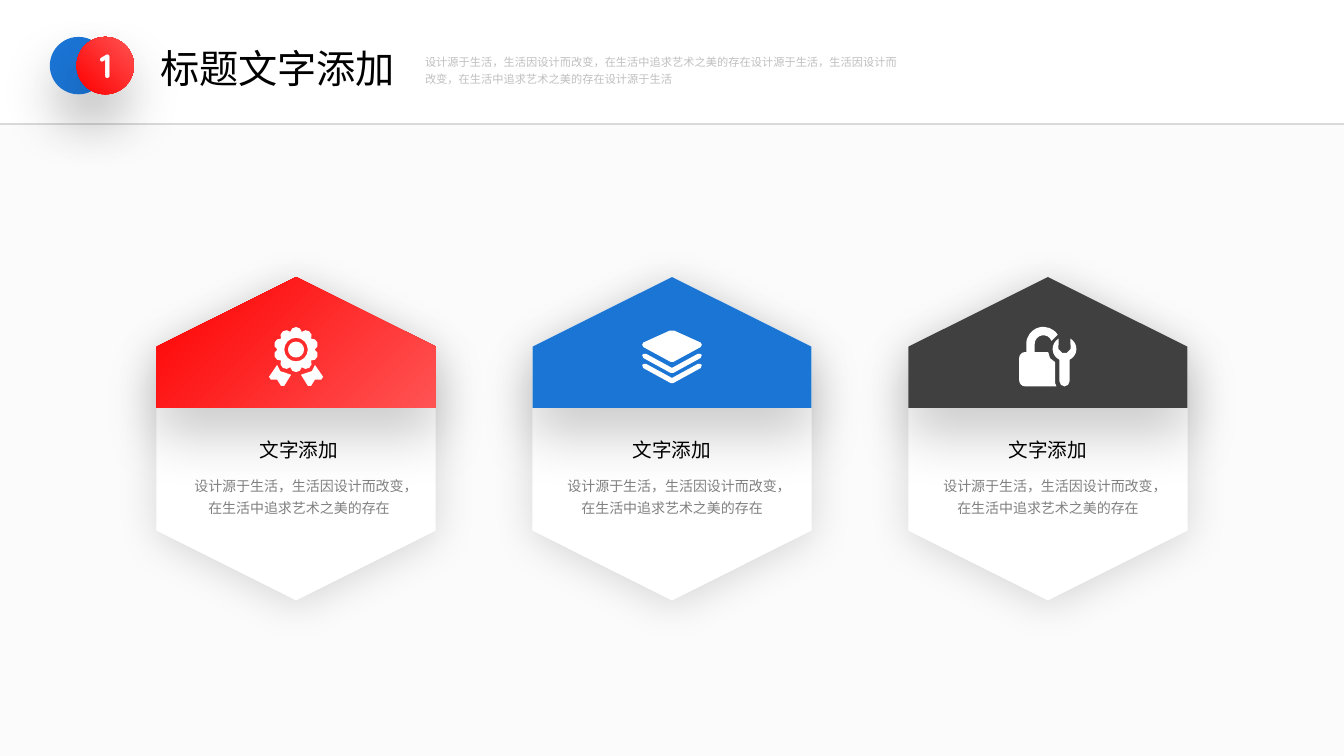
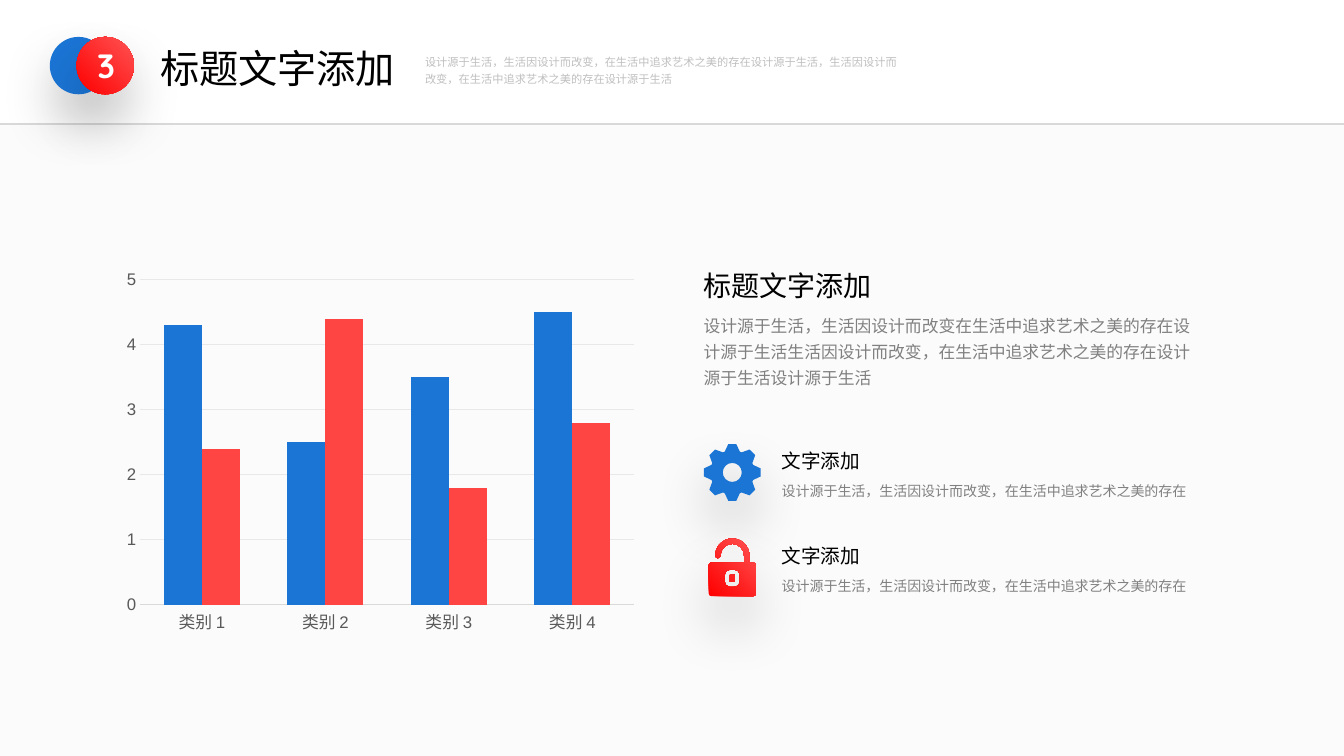
import math
from lxml import etree
from pptx import Presentation, util as u
from pptx.chart.data import CategoryChartData
from pptx.dml.color import RGBColor
from pptx.enum import chart as charts, shapes, text
from pptx.oxml import ns

COLORS = {
    "band": "FBFBFB", "rule": "D9D9D9", "white": "FFFFFF", "black": "000000",
    "blue": "1B75D5", "dark": "404040", "red": "FE0000", "light red": "FF5353",
    "bar red": "FF4444", "gray": "808080", "pale": "BFBFBF", "axis": "595959",
    "grid": "E8E8E8",
}
RGB = {name: RGBColor.from_string(value) for name, value in COLORS.items()}
HEAD_FONT, BODY_FONT = "Noto Sans CJK SC", "Quicksand"
# Shadows: opacity in percent, blur and distance in points
SOFT, DEEP = (15, 30, 3), (20, 40, 20)
SENTENCE = "设计源于生活，生活因设计而改变，在生活中追求艺术之美的存在"
HEADING, LABEL = "标题文字添加", "文字添加"


def add_text(slide, words, left, top, width, height, size=10, font=BODY_FONT,
             color="gray", align="LEFT", spacing=None, wrap=True, bold=False):
    box = slide.shapes.add_textbox(u.Pt(left), u.Pt(top), u.Pt(width), u.Pt(height))
    frame = box.text_frame
    frame.word_wrap = wrap
    frame.auto_size = text.MSO_AUTO_SIZE.SHAPE_TO_FIT_TEXT
    paragraph = frame.paragraphs[0]
    paragraph.alignment = text.PP_ALIGN[align]
    paragraph.line_spacing = spacing
    run = paragraph.add_run()
    run.text = words
    run.font.size, run.font.name, run.font.bold = u.Pt(size), font, bold
    run.font.color.rgb = RGB[color]
    east_asian = etree.SubElement(run.font._element, ns.qn("a:ea"))
    east_asian.set("typeface", font)


def add_figure(slide, fill, preset=None, box=None, contours=(), origin=(0, 0),
               shadow=None, rotation=0, angle=45):
    """Draw a preset in a box, or contours made of points (x, y) and
    arcs (x, y, radius, start, end) around an origin."""
    if preset:
        shape = slide.shapes.add_shape(preset, *[u.Pt(length) for length in box])
        shape.rotation = rotation
    else:
        builder, curve_starts, count = None, [], 0
        for contour in contours:
            points = []
            for x, y, *arc in contour:
                radius, start, end = arc or (0, 0, 0)
                turn = math.radians(start)
                first = (x + radius * math.cos(turn), y + radius * math.sin(turn))
                if not points or math.dist(points[-1], first) > 0.3:
                    points.append(first)
                # Each arc becomes Bezier curves of at most a quarter turn
                steps = math.ceil(abs(end - start) / 90)
                for step in range(steps):
                    sweep = math.radians((end - start) / steps)
                    handle = 4 / 3 * math.tan(sweep / 4)
                    after = turn + sweep
                    curve_starts.append(count + len(points) - 1)
                    for at, pull in ((turn, handle), (after, -handle), (after, 0)):
                        points.append((x + radius * (math.cos(at) - pull * math.sin(at)),
                                       y + radius * (math.sin(at) + pull * math.cos(at))))
                    turn = after
            count += len(points) - 1
            points = [(u.Pt(origin[0] + x), u.Pt(origin[1] + y)) for x, y in points]
            if builder is None:
                builder = slide.shapes.build_freeform(*points[0], scale=1.0)
            else:
                builder.move_to(*points[0])
            builder.add_line_segments(points[1:], close=True)
        shape = builder.convert_to_shape()
        segments = list(shape._element.iter(ns.qn("a:lnTo")))
        for index in curve_starts:
            curve = etree.Element(ns.qn("a:cubicBezTo"))
            segments[index].addprevious(curve)
            for segment in segments[index:index + 3]:
                curve.append(segment[0])
                segment.getparent().remove(segment)
    if fill == "gradient":
        shape.fill.gradient()
        shape.fill.gradient_angle = angle
        for stop, name in zip(shape.fill.gradient_stops, ("red", "light red")):
            stop.color.rgb = RGB[name]
    else:
        shape.fill.solid()
        shape.fill.fore_color.rgb = RGB[fill]
    shape.line.fill.background()
    shape.shadow.inherit = False
    if shadow:
        opacity, blur, distance = shadow
        effects = shape._element.spPr.find(ns.qn("a:effectLst"))
        outer = etree.SubElement(effects, ns.qn("a:outerShdw"), {
            "blurRad": str(u.Pt(blur)), "dist": str(u.Pt(distance)),
            "dir": "5400000", "algn": "ctr", "rotWithShape": "0"})
        tint = etree.SubElement(outer, ns.qn("a:srgbClr"), val=COLORS["black"])
        etree.SubElement(tint, ns.qn("a:alpha"), val=str(opacity * 1000))
    return shape


# Medal icon: ten-lobed disc, ring, two ribbons
lobes = []
for degree in range(-90, 270, 36):
    turn = math.radians(degree)
    lobes.append((11.9 * math.cos(turn), 11.9 * math.sin(turn) - 5, 4.2,
                  degree - 80, degree + 80))
ribbon = [(-13.5, 6), (-11.3, 10.4), (-8.5, 11.3), (-3.5, 13), (-8.5, 21),
          (-10.7, 21), (-13.5, 16.5), (-18, 16.5), (-19.3, 14.4)]
medal = [lobes, [(0, -5, 8.4, 0, 360)], [(0, -5, 5.7, 0, 360)],
         ribbon, [(-x, y) for x, y in ribbon]]

# Layers icon: a tile above two chevrons
tile = [(-1.5, -18.6), (1.5, -18.6), (20.5, -10), (21.3, -8.5), (20.5, -6.8),
        (1, 3.8), (-1, 3.8), (-20.5, -6.8), (-21.3, -8.5), (-20.5, -10)]
chevron = [(-21.3, 6), (-20, 5.2), (-18.5, 5.2), (0, 15.3), (18.5, 5.2), (20, 5.2),
           (21.3, 6), (20.5, 8.2), (1, 18.9), (-1, 18.9), (-20.5, 8.2)]
layers = [tile, chevron, [(x, y - 7.2) for x, y in chevron]]

# Padlock with wrench icon
padlock = [(6.1, 21.3), (-16.2, 17, 4.3, 90, 180), (-16.2, 1.1, 4.3, 180, 270),
           (-15.4, -3.2), (-3.2, -9, 12.2, 180, 327), (-3.2, -9, 6.2, 340, 180),
           (-9.4, -3.2), (0.2, -3.2), (1.6, 1.2), (5.2, 4), (5.2, 19)]
wrench = [(11.9, -5.4, 8.5, -60, 65), (11.9, 17.7, 3.6, 0, 180),
          (11.9, -5.4, 8.5, 115, 240), (7.6, -5.4), (10.2, -2.6), (13.6, -2.6), (16.2, -5.4)]
repair = [padlock, wrench]

# Gear icon: eight teeth around a hole
teeth = [(radius * math.cos(math.radians(center + offset)),
          radius * math.sin(math.radians(center + offset)))
         for center in range(0, 360, 45)
         for radius, offset in ((15.8, -20), (20.5, -8), (20.5, 8), (15.8, 20))]
gear = [teeth, [(0, 0, 6.8, 0, 360)]]

# Open padlock icon: body with shackle, keyhole ring
body = [(15.1, 18.2, 1.8, 0, 90), (-15.1, 18.2, 1.8, 90, 180),
        (-15.1, -2.1, 1.8, 180, 270), (8.4, -3.9), (0, -8.9, 8.4, 360, 180),
        (-10.3, -8.9, 1.9, 0, 180), (0, -8.9, 12.2, 180, 360), (12.2, -3.9),
        (15.1, -2.1, 1.8, 270, 360)]
key_corners = [(1.8, 4.8), (1.8, 9.8), (-1.8, 9.8), (-1.8, 4.8)]
key_ring = [(*corner, 3.6, 270 + 90 * turn, 360 + 90 * turn)
            for turn, corner in enumerate(key_corners)]
open_lock = [body, key_ring, key_corners]

presentation = Presentation()
presentation.slide_width, presentation.slide_height = u.Pt(960), u.Pt(540)
layout = presentation.slide_layouts[6]
cards_slide, chart_slide = [presentation.slides.add_slide(layout) for _ in range(2)]

# Shared background, moved to the layout
band = add_figure(cards_slide, "band", shapes.MSO_SHAPE.RECTANGLE, (0, 88.5, 960, 451.5))
rule = cards_slide.shapes.add_connector(shapes.MSO_CONNECTOR.STRAIGHT,
                                        u.Pt(0), u.Pt(88.5), u.Pt(960), u.Pt(88.5))
rule.line.color.rgb, rule.line.width = RGB["rule"], u.Pt(1.5)
etree.SubElement(rule._element.spPr, ns.qn("a:effectLst"))
for shape_id, shape in enumerate((band, rule), 101):
    shape._element.xpath(".//p:cNvPr")[0].set("id", str(shape_id))
    layout.shapes._spTree.append(shape._element)

# Header
for slide, number in ((cards_slide, "1"), (chart_slide, "3")):
    for left, fill in ((35.6, "blue"), (54.7, "gradient")):
        add_figure(slide, fill, shapes.MSO_SHAPE.OVAL, (left, 26.4, 41, 41), shadow=DEEP)
    add_text(slide, HEADING, 107.3, 28, 184, 41, size=28, font=HEAD_FONT,
             color="black", wrap=False)
    add_text(slide, SENTENCE + SENTENCE + "设计源于生活", 296.5, 33, 353.5, 31,
             size=8, color="pale", spacing=1.3)
    add_text(slide, number, 61.8, 28.5, 28, 36, size=24, color="white",
             align="CENTER", wrap=False, bold=True)

# Three hexagon cards
cards = [("gradient", medal, 2), ("blue", layers, 0), ("dark", repair, 0)]
for index, (fill, icon, text_shift) in enumerate(cards):
    center = 480 + 268.5 * (index - 1)
    add_figure(cards_slide, "white", shapes.MSO_SHAPE.HEXAGON,
               (center - 115.5, 213.6, 231, 199.5), shadow=SOFT, rotation=90)
    cap = [(0, 197.9), (99.6, 247.6), (99.6, 291.3), (-99.6, 291.3), (-99.6, 247.6)]
    add_figure(cards_slide, fill, contours=[cap], origin=(center, 0),
               shadow=DEEP, angle=315)
    add_figure(cards_slide, "white", contours=icon, origin=(center, 254.7))
    middle = center + text_shift
    add_text(cards_slide, SENTENCE, middle - 83.5, 334, 167, 37.5,
             align="CENTER", spacing=1.3)
    add_text(cards_slide, LABEL, middle - 35.5, 309.5, 71, 24.5, size=14, font=HEAD_FONT,
             color="black", align="CENTER", wrap=False)

# Column chart
data = CategoryChartData()
data.categories = [f"类别 {index}" for index in range(1, 5)]
data.add_series("Series 1", (4.3, 2.5, 3.5, 4.5))
data.add_series("Series 2", (2.4, 4.4, 1.8, 2.8))
chart = chart_slide.shapes.add_chart(charts.XL_CHART_TYPE.COLUMN_CLUSTERED, u.Pt(83),
                                     u.Pt(188.2), u.Pt(377.5), u.Pt(270), data).chart
chart.has_legend = chart.has_title = False
chart.font.name, chart.font.size = "Arial", u.Pt(10)
plot = chart.plots[0]
plot.gap_width, plot.overlap, plot.vary_by_categories = 124, 0, False
for series, name in zip(plot.series, ("blue", "bar red")):
    series.format.fill.solid()
    series.format.fill.fore_color.rgb = RGB[name]
    series.invert_if_negative = False
for axis in (chart.category_axis, chart.value_axis):
    axis.major_tick_mark = axis.minor_tick_mark = charts.XL_TICK_MARK.NONE
    font = axis.tick_labels.font
    font.name, font.size, font.color.rgb = "Arial", u.Pt(12), RGB["axis"]
category_line = chart.category_axis.format.line
category_line.color.rgb, category_line.width = RGB["rule"], u.Pt(0.75)
values = chart.value_axis
values.minimum_scale, values.maximum_scale, values.major_unit = 0, 5, 1
values.format.line.fill.background()
values.major_gridlines.format.line.color.rgb = RGB["grid"]
values.major_gridlines.format.line.width = u.Pt(0.75)

# Text beside the chart
add_text(chart_slide, "设计源于生活，生活因设计而改变在生活中追求艺术之美的存在"
         "设计源于生活生活因设计而改变，在生活中追求艺术之美的存在"
         "设计源于生活设计源于生活", 495.5, 217.5, 366.5, 62, size=12, spacing=1.3)
add_text(chart_slide, HEADING, 495.5, 188, 135.5, 31.5, size=20, font=HEAD_FONT,
         color="black", wrap=False)
for index, (fill, icon) in enumerate((("blue", gear), ("gradient", open_lock))):
    row = 68.3 * index
    add_figure(chart_slide, fill, contours=icon, origin=(523.1, 337.5 + row), shadow=DEEP)
    add_text(chart_slide, SENTENCE, 551.3, 337.2 + row, 308, 21.5, spacing=1.3)
    add_text(chart_slide, LABEL, 551.3, 316.8 + row, 71, 24.5, size=14, font=HEAD_FONT,
             color="black", wrap=False)

presentation.save("out.pptx")
